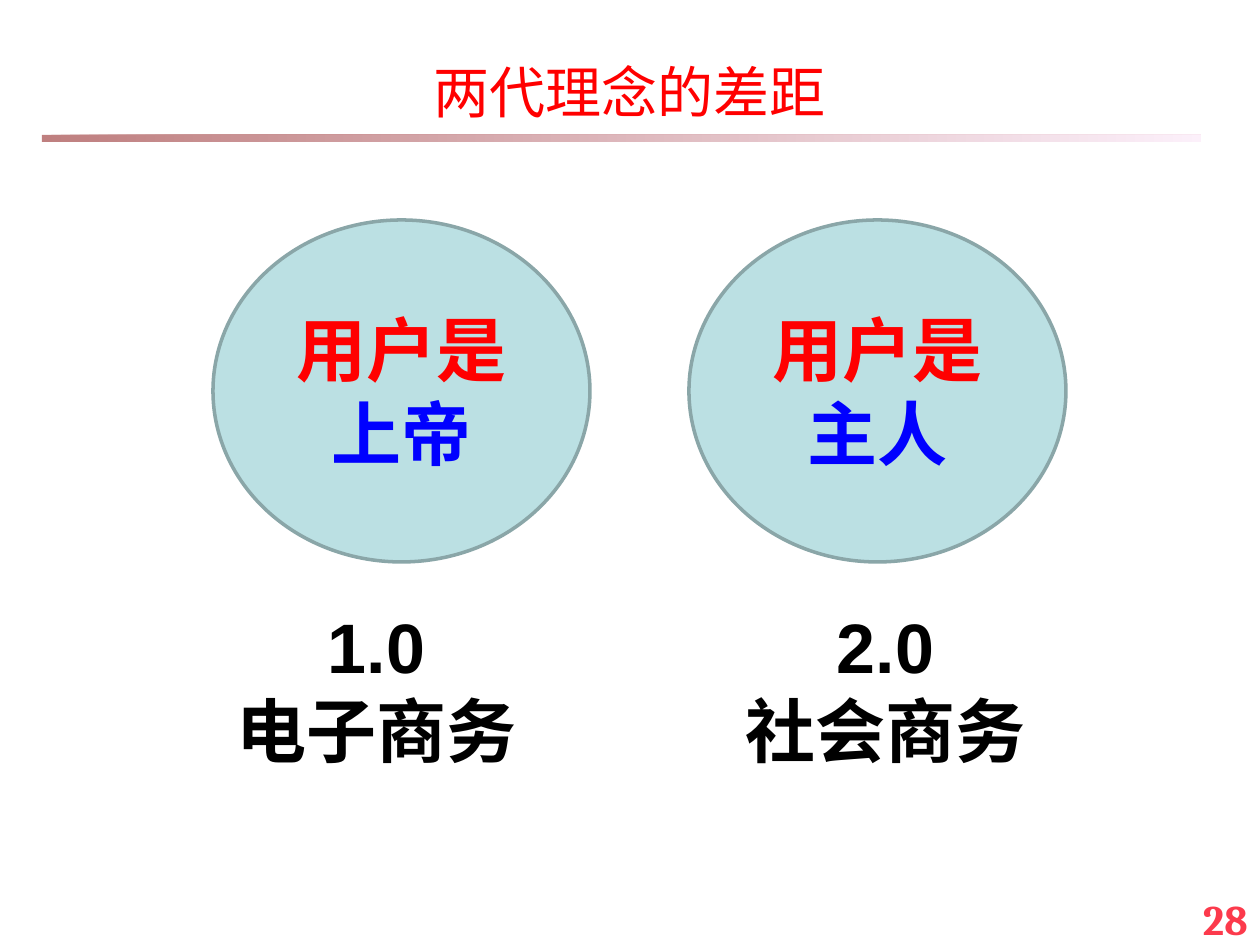
"""Build the slide that contrasts two generations of commerce ideas."""
from dataclasses import dataclass

from lxml import etree
from pptx import Presentation
from pptx.dml.color import RGBColor
from pptx.enum.shapes import MSO_SHAPE
from pptx.enum.text import MSO_ANCHOR, MSO_AUTO_SIZE, PP_ALIGN
from pptx.oxml.ns import qn
from pptx.util import Pt

RECT, OVAL = MSO_SHAPE.RECTANGLE, MSO_SHAPE.OVAL
TOP, MIDDLE = MSO_ANCHOR.TOP, MSO_ANCHOR.MIDDLE
CENTER, RIGHT = PP_ALIGN.CENTER, PP_ALIGN.RIGHT
NO_FIT = MSO_AUTO_SIZE.NONE
SCALE = 914400 / 126


@dataclass(frozen=True)
class Theme:
    red: str = "FF0000"
    blue: str = "0000FF"
    black: str = "000000"
    page: str = "FC3A4C"
    disc: str = "BBE0E3"
    edge: str = "8AA6A8"
    bar: tuple = ("800000", "FAE2F6")
    font: str = "Arial"
    han: str = "Noto Sans CJK SC"
    serif: str = "Cambria"
    title: int = 32
    body: int = 40
    small: int = 24


theme = Theme()


def px(*sizes):
    return [round(size * SCALE) for size in sizes]


def write(shape, lines, size=theme.body, font=theme.font, bold=True,
          align=CENTER, anchor=TOP, space=None):
    frame = shape.text_frame
    frame.word_wrap = True
    frame.auto_size = NO_FIT
    frame.vertical_anchor = anchor
    for i, line in enumerate(lines):
        para = frame.add_paragraph() if i else frame.paragraphs[0]
        para.alignment = align
        if space:
            para.line_spacing = space
        for text, color in line:
            run = para.add_run()
            run.text = text
            run.font.size = Pt(size)
            run.font.name = font
            run.font.bold = bold
            run.font.color.rgb = RGBColor.from_string(color)
            etree.SubElement(run.font._element, qn("a:ea"), typeface=theme.han)


deck = Presentation()
deck.slide_width, deck.slide_height = px(1260, 945)
slide = deck.slides.add_slide(deck.slide_layouts[5])
shapes = slide.shapes

title = shapes.title
title.left, title.top, title.width, title.height = px(0, 10, 1260, 129)
write(title, [[("两代理念的差距", theme.red)]], size=theme.title,
      font=theme.han, bold=False, anchor=MIDDLE, space=1.5)

bar = shapes.add_shape(RECT, *px(42, 135, 1159, 7))
bar.shadow.inherit = False
bar.line.fill.background()
bar.fill.gradient()
bar.fill.gradient_angle = 0
for stop, color in zip(bar.fill.gradient_stops, theme.bar):
    stop.color.rgb = RGBColor.from_string(color)
for tint in bar._element.spPr.iter(qn("a:srgbClr")):
    etree.SubElement(tint, qn("a:alpha"), val="50000")

page = shapes.add_textbox(*px(966, 887, 294, 55))
write(page, [[("28", theme.page)]], size=theme.small, font=theme.serif,
      align=RIGHT)

ages = [
    ("1.0", "电子商务", "上帝", 123, 213),
    ("2.0", "社会商务", "主人", 632, 689),
]
for age, trade, role, left, start in ages:
    label = shapes.add_textbox(*px(left, 597, 507, 183))
    write(label, [[(age, theme.black)], [(trade, theme.black)]])

    disc = shapes.add_shape(OVAL, *px(start, 220, 377, 342))
    disc.shadow.inherit = False
    disc.fill.solid()
    disc.fill.fore_color.rgb = RGBColor.from_string(theme.disc)
    disc.line.color.rgb = RGBColor.from_string(theme.edge)
    disc.line.width = Pt(2)
    write(disc, [[("用户是", theme.red), (role, theme.blue)]], anchor=MIDDLE)

deck.save("out.pptx")
